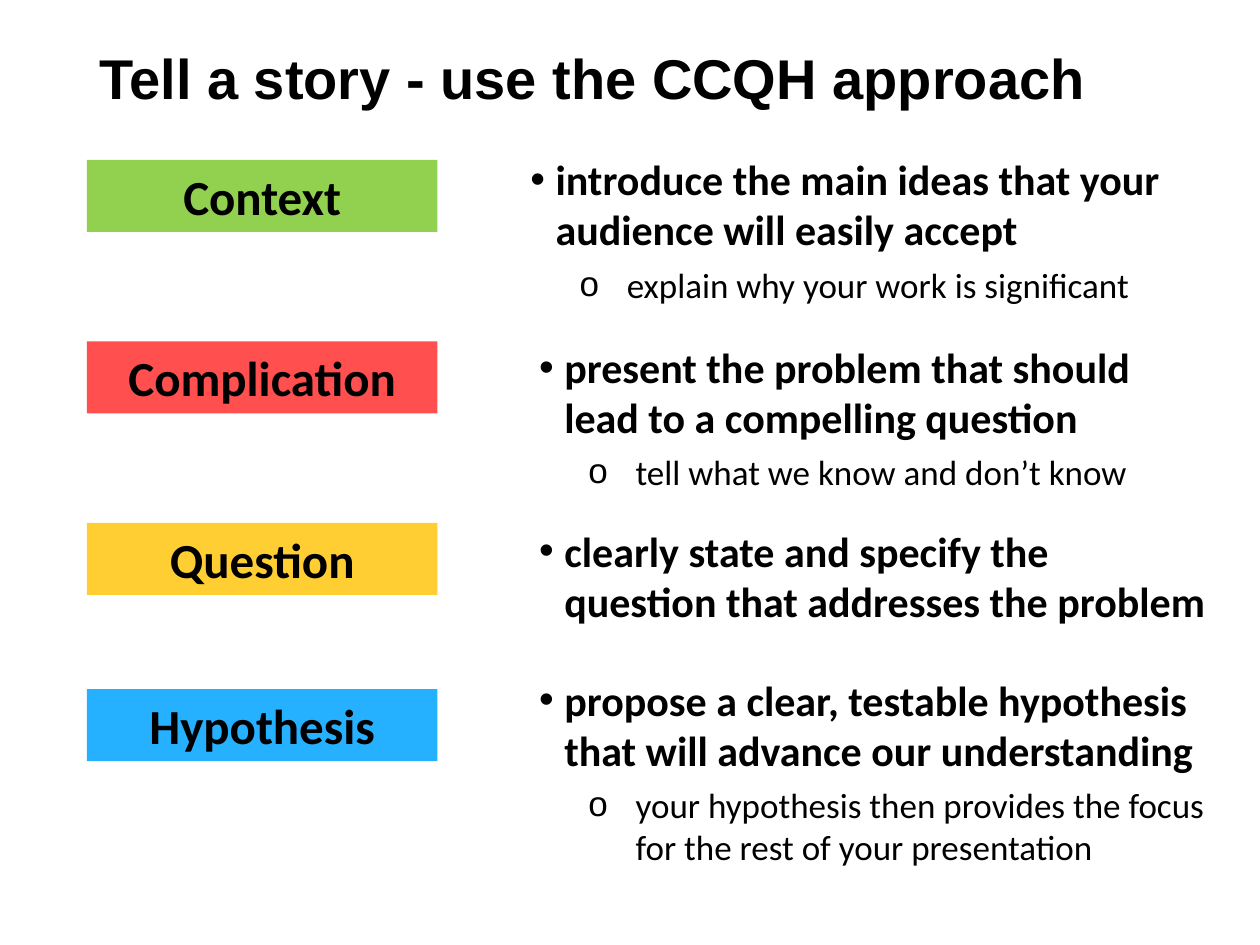
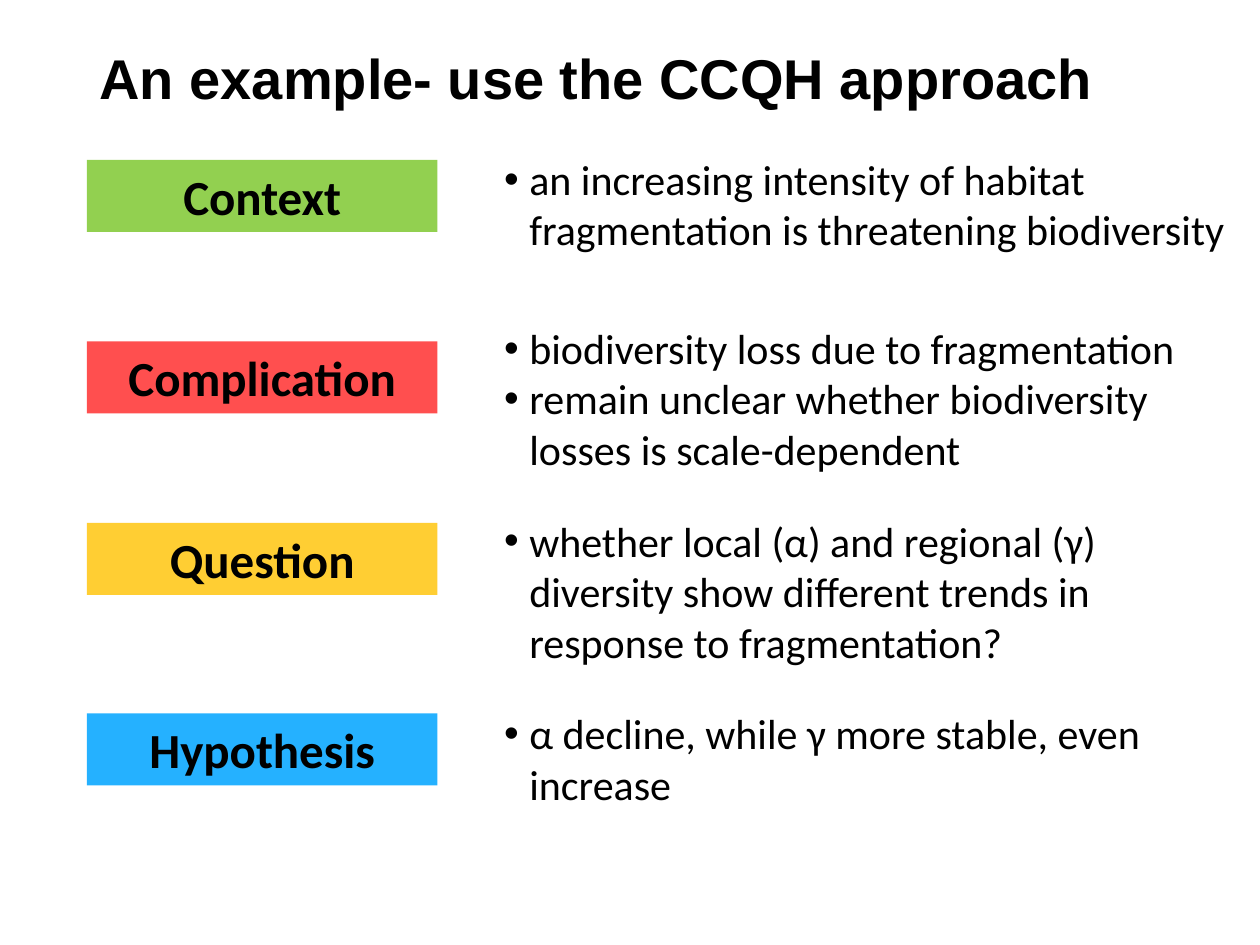
from dataclasses import dataclass

from lxml import etree
from pptx import Presentation
from pptx.dml.color import RGBColor
from pptx.enum.shapes import MSO_SHAPE
from pptx.enum.text import MSO_ANCHOR, MSO_AUTO_SIZE, PP_ALIGN
from pptx.oxml.ns import qn
from pptx.util import Pt

RECT = MSO_SHAPE.RECTANGLE
TOP, MIDDLE = MSO_ANCHOR.TOP, MSO_ANCHOR.MIDDLE
GROW, FIXED = MSO_AUTO_SIZE.SHAPE_TO_FIT_TEXT, MSO_AUTO_SIZE.NONE
LEFT, CENTER = PP_ALIGN.LEFT, PP_ALIGN.CENTER


@dataclass(frozen=True)
class Theme:
    ink: str = "000000"
    paper: str = "FFFFFF"
    head: str = "Arial"
    body: str = "Calibri"
    title: int = 32
    label: int = 28
    point: int = 24
    detail: int = 20
    margin: float = 49.7


STEPS = [("Context", "92D050"), ("Complication", "FF4F4F"),
         ("Question", "FFCE33"), ("Hypothesis", "25B1FF")]
STEP_TOP, STEP_GAP = 91.4, 103.7


class Deck:
    def __init__(self, theme):
        self.theme = theme
        self.show = Presentation()
        self.show.slide_width, self.show.slide_height = Pt(720), Pt(540)
        self.slide = None

    def add_text(self, para, text, size, font, bold=False):
        run = para.add_run()
        run.text = text
        run.font.size, run.font.name, run.font.bold = Pt(size), font, bold
        run.font.color.rgb = RGBColor.from_string(self.theme.ink)

    def page(self, title):
        look = self.theme
        self.slide = self.show.slides.add_slide(self.show.slide_layouts[5])
        fill = self.slide.background.fill
        fill.solid()
        fill.fore_color.rgb = RGBColor.from_string(look.paper)
        head = self.slide.shapes.title
        head.left, head.top = Pt(look.margin), Pt(18.7)
        head.width, head.height = Pt(634.3), Pt(55.4)
        frame = head.text_frame
        frame.auto_size, frame.vertical_anchor = FIXED, MIDDLE
        para = frame.paragraphs[0]
        para.alignment, para.line_spacing = LEFT, 0.9
        self.add_text(para, title, look.title, look.head, True)

    def label(self, text, color, top):
        look = self.theme
        box = self.slide.shapes.add_shape(
            RECT, Pt(look.margin), Pt(top), Pt(200.2), Pt(41.2))
        box.shadow.inherit = False
        box.fill.solid()
        box.fill.fore_color.rgb = RGBColor.from_string(color)
        box.line.fill.background()
        frame = box.text_frame
        frame.auto_size, frame.vertical_anchor = GROW, TOP
        para = frame.paragraphs[0]
        para.alignment = CENTER
        self.add_text(para, text, look.label, look.body, True)

    def steps(self, last):
        """Stack the four step labels; the last one has its own top."""
        for i, (name, color) in enumerate(STEPS):
            top = last if i == len(STEPS) - 1 else STEP_TOP + i * STEP_GAP
            self.label(name, color, top)

    def bullets(self, items, left, top, width, height, size,
                mark="•", indent=14.4, bold=False):
        box = self.slide.shapes.add_textbox(
            Pt(left), Pt(top), Pt(width), Pt(height))
        frame = box.text_frame
        frame.word_wrap, frame.auto_size = True, GROW
        for i, text in enumerate(items):
            para = frame.add_paragraph() if i else frame.paragraphs[0]
            props = para._p.get_or_add_pPr()
            props.set("marL", str(Pt(indent)))
            props.set("indent", str(-Pt(indent)))
            etree.SubElement(props, qn("a:buFont"), typeface=self.theme.head)
            etree.SubElement(props, qn("a:buChar"), char=mark)
            self.add_text(para, text, size, self.theme.body, bold)

    def advice(self, left, top, point, detail=None, width=396, height=31.7):
        """Place a bold point with an optional detail under it."""
        look = self.theme
        self.bullets([point], left, top, 396, 65.5, look.point, bold=True)
        if detail:
            self.bullets([detail], left + 28.1, top + 62.6, width, height,
                         look.detail, "o", 27)


def main():
    deck = Deck(Theme())

    deck.page("Tell a story - use the CCQH approach")
    deck.advice(296, 84.2,
                "introduce the main ideas that your audience will easily accept",
                "explain why your work is significant")
    deck.advice(301, 191.5,
                "present the problem that should lead to a compelling question",
                "tell what we know and don’t know")
    deck.advice(301, 296.6,
                "clearly state and specify the question that addresses the problem")
    deck.advice(301, 381.6,
                "propose a clear, testable hypothesis that will advance our understanding",
                "your hypothesis then provides the focus for the rest of your presentation",
                373.7, 55.4)
    deck.steps(393.8)

    deck.page("An example- use the CCQH approach")
    findings = [
        (84.2, 439.2, 65.5,
         ["an increasing intensity of habitat fragmentation is threatening biodiversity"]),
        (180.7, 409.7, 94.3,
         ["biodiversity loss due to fragmentation",
          "remain unclear whether biodiversity losses is scale-dependent"]),
        (290.9, 396, 94.3,
         ["whether local (α) and regional (γ) diversity show different trends "
          "in response to fragmentation?"]),
        (401, 396, 65.5, ["α decline, while γ more stable, even increase"]),
    ]
    for top, width, height, items in findings:
        deck.bullets(items, 281, top, width, height, deck.theme.point)
    deck.steps(407.6)

    deck.show.save("out.pptx")


if __name__ == "__main__":
    main()
